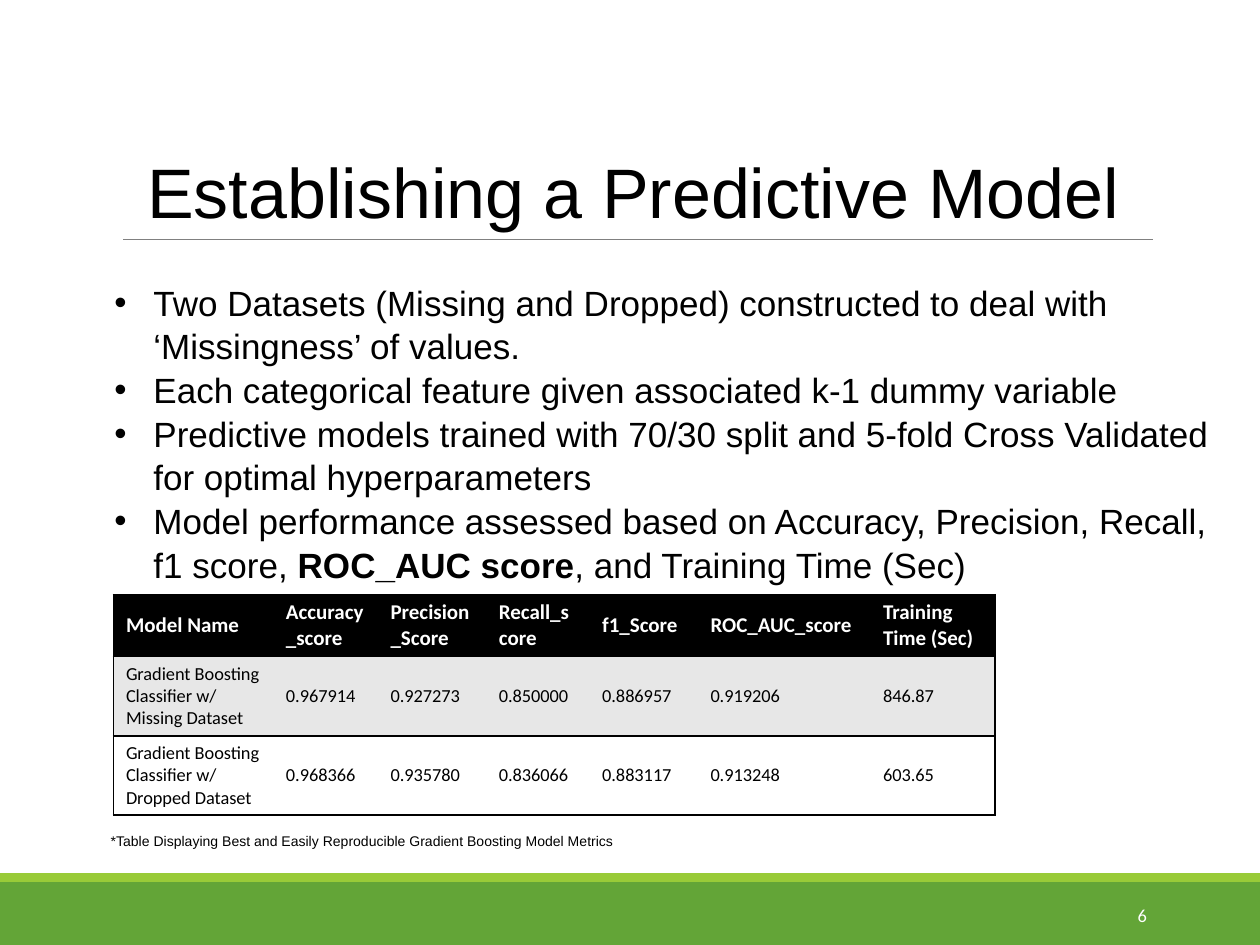
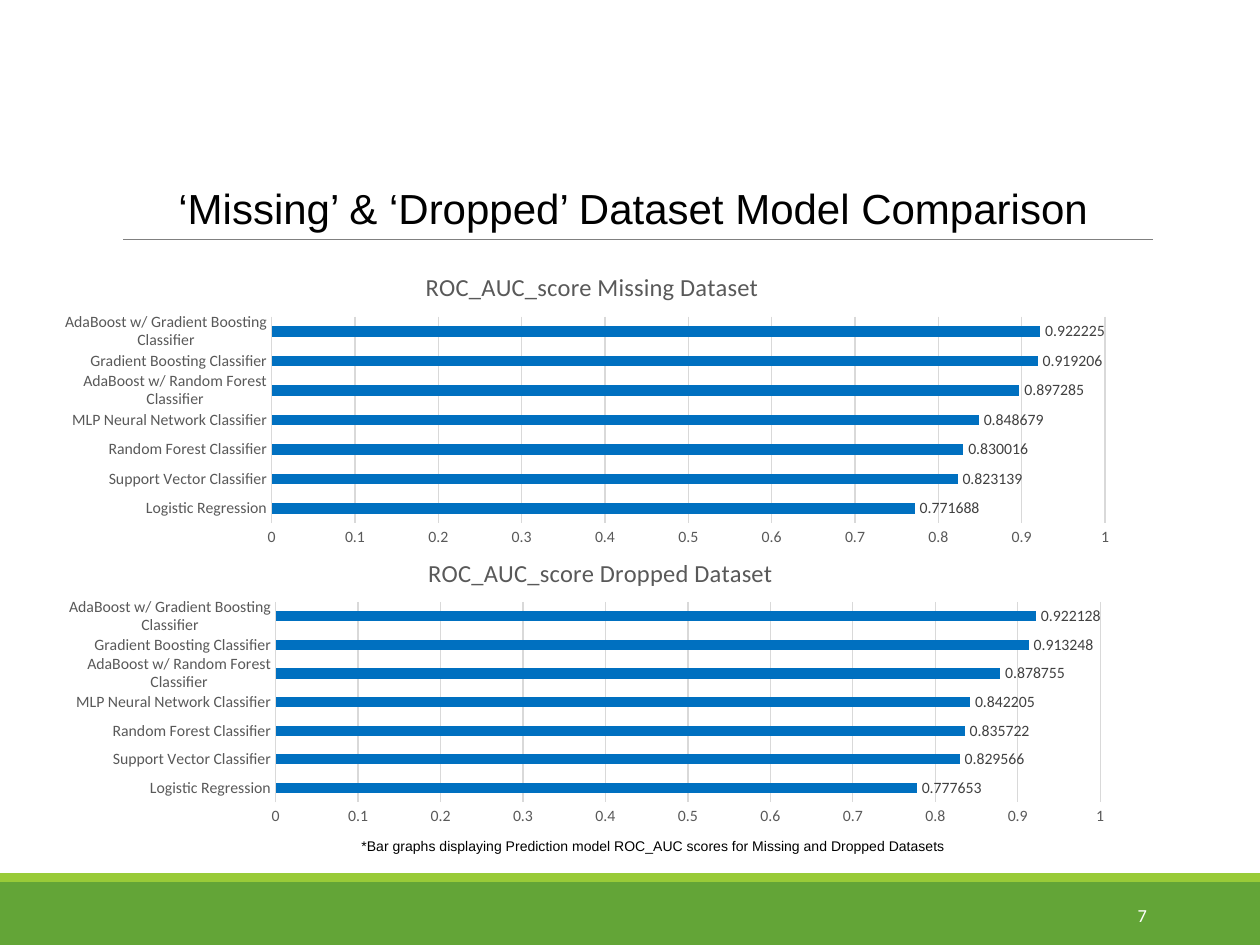
import pptx
import pptx.chart.data
import pptx.dml.color
import pptx.enum.chart
import pptx.enum.shapes
import pptx.enum.text
import pptx.oxml
import pptx.oxml.ns
import pptx.util
from lxml import etree

RGB = pptx.dml.color.RGBColor
Pt = pptx.util.Pt
qn = pptx.oxml.ns.qn
ALIGN = pptx.enum.text.PP_ALIGN
ANCHOR = pptx.enum.text.MSO_ANCHOR

BLACK = RGB(0x00, 0x00, 0x00)
WHITE = RGB(0xFF, 0xFF, 0xFF)
GREEN = RGB(0x63, 0xA5, 0x37)
LIME = RGB(0x99, 0xCB, 0x38)
RULE = RGB(0x80, 0x80, 0x80)
BAND = RGB(0xE7, 0xE7, 0xE7)
BAR = RGB(0x00, 0x70, 0xC0)
GRID = RGB(0xD9, 0xD9, 0xD9)
AXIS_TEXT = RGB(0x59, 0x59, 0x59)
LABEL_TEXT = RGB(0x40, 0x40, 0x40)

# The slide is a grid of 100 columns by 75 rows
COLS, ROWS = 100, 75
NO_TABLE_STYLE = "{2D5ABB26-0587-4C30-8999-92F81FD0307C}"

TITLE = dict(name="Arial", color=BLACK)
BODY = dict(name="Arial", size=Pt(20), color=BLACK)
NOTE = dict(name="Arial", size=Pt(8), color=BLACK)
PAGE_NUMBER = dict(name="Calibri", size=Pt(10.5), color=WHITE)
HEAD_CELL = dict(name="Calibri", size=Pt(12), color=WHITE, bold=True)
BODY_CELL = dict(name="Calibri", size=Pt(10.5), color=BLACK, bold=False)
CHART = dict(name="Calibri", size=Pt(10), color=BLACK)
CHART_TITLE = dict(name="Calibri", size=Pt(14), color=AXIS_TEXT, bold=False)
AXIS = dict(name="Calibri", size=Pt(9), color=AXIS_TEXT)
DATA_LABEL = dict(name="Calibri", size=Pt(9), color=LABEL_TEXT)


def set_font(font, style):
    for key, value in style.items():
        if key == "color":
            font.color.rgb = value
        else:
            setattr(font, key, value)


def set_line(line, color, width):
    line.color.rgb = color
    line.width = width


def set_layout(parent, inner=False, **shares):
    """Place a chart part by shares of the chart's size."""
    layout = parent.find(qn("c:layout"))
    if layout is None:
        layout = etree.Element(qn("c:layout"))
        parent.insert(0, layout)
    manual = etree.SubElement(layout, qn("c:manualLayout"))
    if inner:
        etree.SubElement(manual, qn("c:layoutTarget"), val="inner")
    for side in "xy":
        etree.SubElement(manual, qn(f"c:{side}Mode"), val="edge")
    for key, share in shares.items():
        etree.SubElement(manual, qn(f"c:{key}"), val=str(share))


class Deck:
    def __init__(self):
        self.prs = pptx.Presentation()
        self.prs.slide_width = pptx.util.Inches(10)
        self.prs.slide_height = pptx.util.Inches(7.5)
        self.s = None

    def x(self, cols):
        return round(self.prs.slide_width * cols / COLS)

    def y(self, rows):
        return round(self.prs.slide_height * rows / ROWS)

    def box(self, at):
        left, top, width, height = at
        return self.x(left), self.y(top), self.x(width), self.y(height)

    def slide(self, title, size, number):
        """Start a slide with the shared bands, rule, title and page number."""
        self.s = self.prs.slides.add_slide(self.prs.slide_layouts[6])
        self.band((0, 70, 100, 5), GREEN)
        self.band((0, 69.3, 100, 0.7), LIME)
        self.rule(9.8, 91.5, 19)
        self.text((9, 3.1, 82.5, 15.9), [title], dict(TITLE, size=Pt(size)),
                  ANCHOR.BOTTOM, alignment=ALIGN.CENTER, line_spacing=0.85)
        self.text((81.2, 70.6, 10.8, 4), [str(number)], PAGE_NUMBER,
                  ANCHOR.MIDDLE, alignment=ALIGN.RIGHT)

    def band(self, at, color):
        sp = self.s.shapes.add_shape(
            pptx.enum.shapes.MSO_SHAPE.RECTANGLE, *self.box(at))
        sp.shadow.inherit = False
        sp.fill.solid()
        sp.fill.fore_color.rgb = color
        sp.line.fill.background()

    def rule(self, left, right, row):
        cx = self.s.shapes.add_connector(
            pptx.enum.shapes.MSO_CONNECTOR.STRAIGHT,
            self.x(left), self.y(row), self.x(right), self.y(row))
        set_line(cx.line, RULE, Pt(0.5))
        etree.SubElement(cx.element.spPr, qn("a:effectLst"))

    def text(self, at, lines, style, anchor=ANCHOR.TOP, **layout):
        """Each line is a string, or a list of (text, bold) runs."""
        tf = self.s.shapes.add_textbox(*self.box(at)).text_frame
        tf.word_wrap = True
        tf.vertical_anchor = anchor
        for i, line in enumerate(lines):
            p = tf.paragraphs[0] if i == 0 else tf.add_paragraph()
            for key, value in layout.items():
                setattr(p, key, value)
            for words, bold in [(line, False)] if isinstance(line, str) else line:
                r = p.add_run()
                r.text = words
                set_font(r.font, dict(style, bold=bold))
        return tf

    def bullets(self, at, lines, first_row):
        tf = self.text(at, lines, BODY, line_spacing=1.04)
        tf.margin_top = self.y(first_row)
        indent = self.x(3.1)
        for p in tf.paragraphs:
            pPr = p._p.get_or_add_pPr()
            pPr.set("marL", str(indent))
            pPr.set("indent", str(-indent))
            etree.SubElement(pPr, qn("a:buFont"), typeface="Arial")
            etree.SubElement(pPr, qn("a:buChar"), char="•")

    def table(self, at, widths, heights, rows):
        gf = self.s.shapes.add_table(len(rows), len(widths), *self.box(at))
        next(gf.element.iter(qn("a:tableStyleId"))).text = NO_TABLE_STYLE
        table = gf.table
        table.horz_banding = False
        for col, width in zip(table.columns, widths):
            col.width = self.x(width)
        for row, height in zip(table.rows, heights):
            row.height = self.y(height)
        fills = (BLACK, BAND, WHITE)
        for i, row in enumerate(rows):
            for j, words in enumerate(row):
                edges = ["lnT", "lnB"]
                if j == 0:
                    edges.insert(0, "lnL")
                elif j == len(row) - 1:
                    edges.insert(0, "lnR")
                self.cell(table.cell(i, j), words, fills[i],
                          BODY_CELL if i else HEAD_CELL, edges)

    def cell(self, cell, words, fill, style, edges):
        cell.text = words
        cell.vertical_anchor = ANCHOR.MIDDLE
        cell.margin_top = cell.margin_bottom = self.y(0.4)
        set_font(cell.text_frame.paragraphs[0].runs[0].font, style)
        cell.fill.solid()
        cell.fill.fore_color.rgb = fill
        tcPr = cell._tc.get_or_add_tcPr()
        for i, edge in enumerate(edges):
            ln = etree.Element(qn(f"a:{edge}"), w=str(Pt(1)))
            solid = etree.SubElement(ln, qn("a:solidFill"))
            etree.SubElement(solid, qn("a:srgbClr"), val=str(BLACK))
            tcPr.insert(i, ln)

    def bar_chart(self, at, title, categories, values):
        data = pptx.chart.data.CategoryChartData()
        data.categories = categories
        data.add_series("Series 1", values)
        chart = self.s.shapes.add_chart(
            pptx.enum.chart.XL_CHART_TYPE.BAR_CLUSTERED,
            *self.box(at), data).chart
        chart.has_legend = False
        set_font(chart.font, CHART)

        # Title and plot area
        tf = chart.chart_title.text_frame
        tf.text = title
        set_font(tf.paragraphs[0].runs[0].font, CHART_TITLE)
        set_layout(chart.chart_title.element.find(qn("c:layout")).getparent()
                   if chart.chart_title.element.find(qn("c:layout")) is not None
                   else chart.chart_title.element, x=0.34, y=0.06)
        set_layout(next(chart.element.iter(qn("c:plotArea"))), inner=True,
                   x=0.2, y=0.23, w=0.78, h=0.68)

        # Bars and their values
        plot = chart.plots[0]
        plot.gap_width = 182
        plot.vary_by_categories = False
        fill = plot.series[0].format.fill
        fill.solid()
        fill.fore_color.rgb = BAR
        plot.has_data_labels = True
        labels = plot.data_labels
        labels.show_value = True
        labels.position = pptx.enum.chart.XL_LABEL_POSITION.OUTSIDE_END
        set_font(labels.font, DATA_LABEL)

        # Axes
        for axis in (chart.category_axis, chart.value_axis):
            axis.major_tick_mark = pptx.enum.chart.XL_TICK_MARK.NONE
            set_font(axis.tick_labels.font, AXIS)
        set_line(chart.category_axis.format.line, GRID, Pt(0.75))
        scale = chart.value_axis
        for key, value in dict(minimum_scale=0, maximum_scale=1,
                               major_unit=0.1).items():
            setattr(scale, key, value)
        scale.format.line.fill.background()
        set_line(scale.major_gridlines.format.line, GRID, Pt(0.75))


def model_slide(deck):
    deck.slide("Establishing a Predictive Model", 40, 6)
    deck.bullets((8.1, 18.4, 89.3, 31.3), [
        "Two Datasets (Missing and Dropped) constructed to deal with "
        "‘Missingness’ of values.",
        "Each categorical feature given associated k-1 dummy variable",
        "Predictive models trained with 70/30 split and 5-fold Cross Validated "
        "for optimal hyperparameters",
        [("Model performance assessed based on Accuracy, Precision, Recall, "
          "f1 score, ", False),
         ("ROC_AUC score", True),
         (", and Training Time (Sec)", False)],
    ], first_row=3.8)
    deck.text((7.8, 65.4, 53.6, 2.4),
              ["*Table Displaying Best and Easily Reproducible Gradient Boosting "
               "Model Metrics"], NOTE, line_spacing=1.15)
    deck.table((9, 47.2, 70, 17.5),
               (12.7, 8.3, 8.6, 8.2, 8.6, 13.7, 9.9), (4.9, 6.3, 6.3), [
        ("Model Name", "Accuracy_score", "Precision_Score", "Recall_score",
         "f1_Score", "ROC_AUC_score", "Training Time (Sec)"),
        ("Gradient Boosting Classifier w/ Missing Dataset", "0.967914",
         "0.927273", "0.850000", "0.886957", "0.919206", "846.87"),
        ("Gradient Boosting Classifier w/ Dropped Dataset", "0.968366",
         "0.935780", "0.836066", "0.883117", "0.913248", "603.65"),
    ])


def comparison_slide(deck):
    deck.slide("‘Missing’ & ‘Dropped’ Dataset Model Comparison", 24, 7)
    deck.text((27.7, 65.8, 49.2, 2.4),
              ["*Bar graphs displaying Prediction model ROC_AUC scores for "
               "Missing and Dropped Datasets"], NOTE, line_spacing=1.15)
    models = ("Logistic Regression", "Support Vector Classifier",
              "Random Forest Classifier", "MLP Neural Network Classifier",
              "AdaBoost w/ Random Forest Classifier",
              "Gradient Boosting Classifier",
              "AdaBoost w/ Gradient Boosting Classifier")
    scores = {
        "Missing": ((4.6, 19.6, 84.8, 24.1),
                    (0.771688, 0.823139, 0.830016, 0.848679,
                     0.897285, 0.919206, 0.922225)),
        "Dropped": ((5.1, 42.4, 83.9, 23.4),
                    (0.777653, 0.829566, 0.835722, 0.842205,
                     0.878755, 0.913248, 0.922128)),
    }
    for dataset, (at, values) in scores.items():
        deck.bar_chart(at, f"ROC_AUC_score {dataset} Dataset", models, values)


def main():
    deck = Deck()
    model_slide(deck)
    comparison_slide(deck)
    deck.prs.save("out.pptx")


if __name__ == "__main__":
    main()
